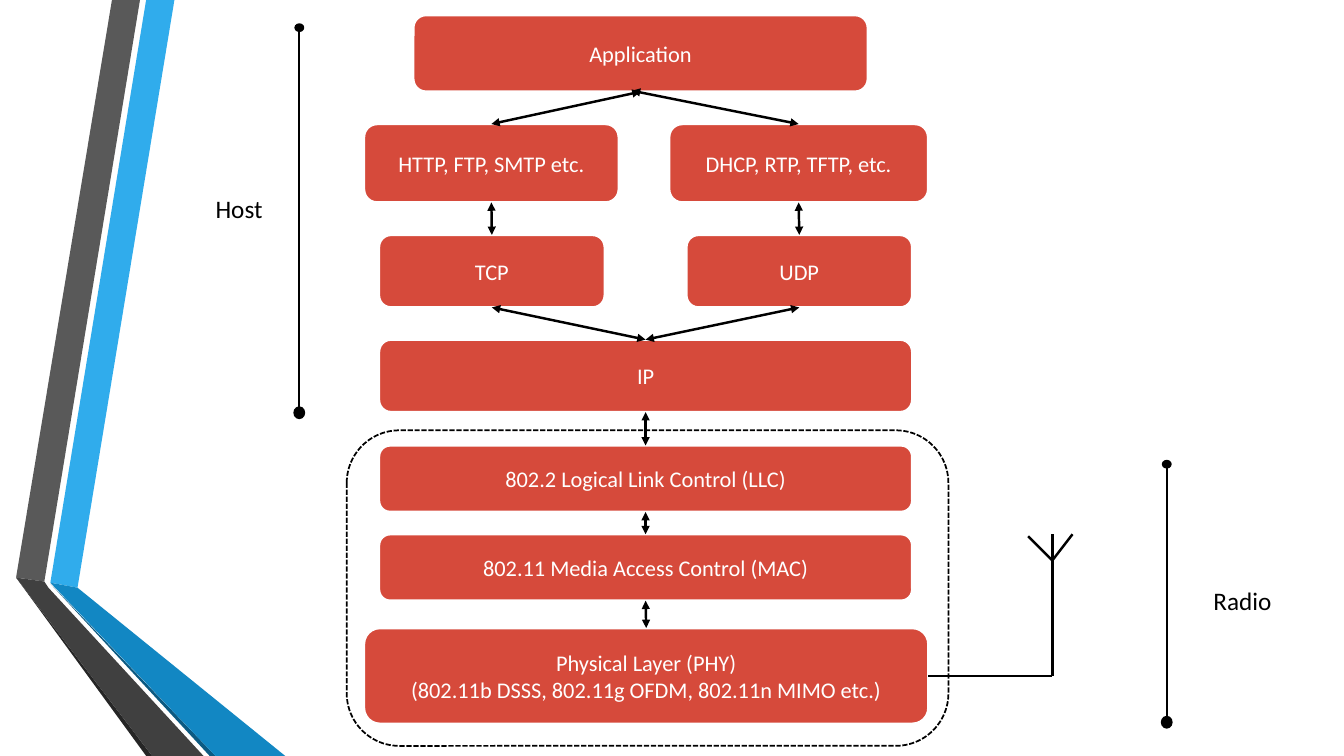
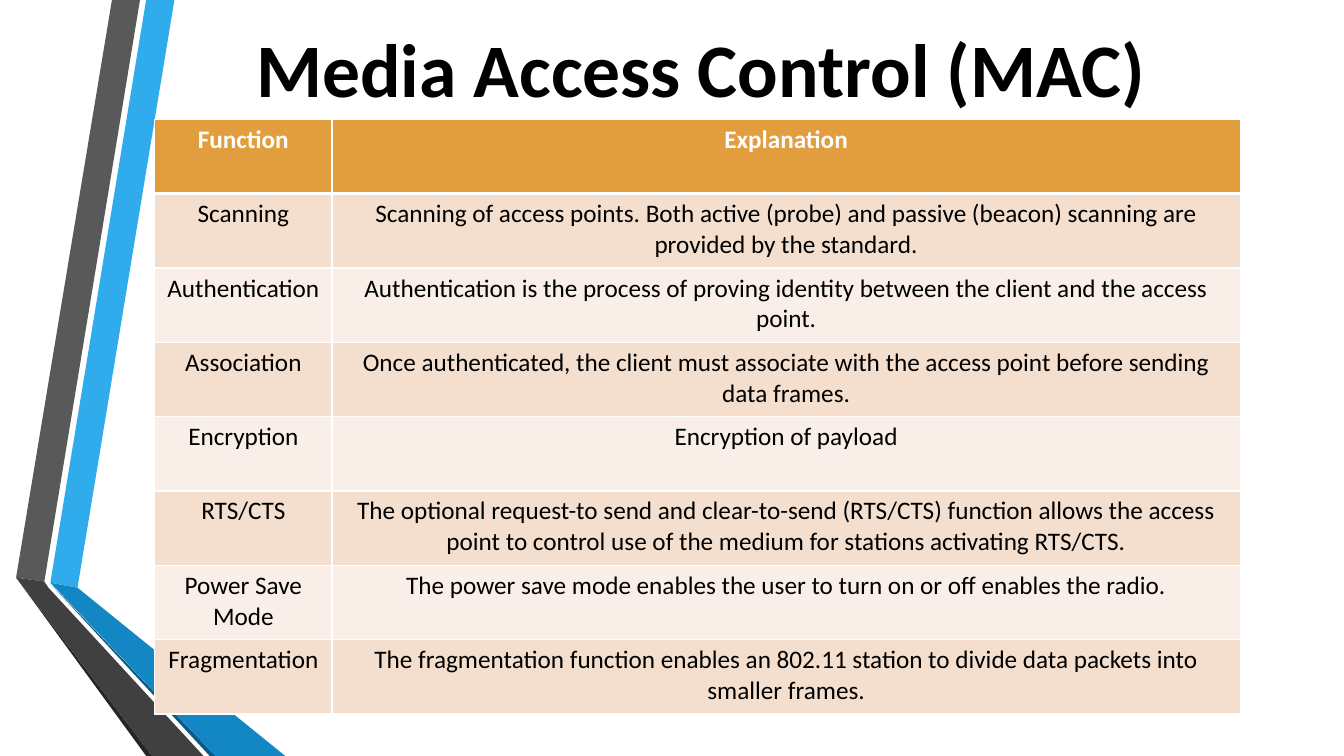
import lxml.etree
import pptx
import pptx.dml.color
import pptx.enum.dml
import pptx.enum.shapes
import pptx.enum.text
import pptx.oxml.ns
import pptx.util

Pt = pptx.util.Pt
qn = pptx.oxml.ns.qn
SHAPE = pptx.enum.shapes.MSO_SHAPE
CENTER = pptx.enum.text.PP_ALIGN.CENTER
TOP, LEFT, BOTTOM, RIGHT = range(4)  # connection sites

# Corner points of the folded ribbons on the left edge
RIBBONS = [
    ("30ACEC", [(36, 416.2), (55.4, 419.8), (124.6, 0), (104.4, 0)]),
    ("595959", [(100, 0), (80, 0), (11.5, 412.6), (31.7, 415.4)]),
    ("262626", [(11.5, 412.6), (104.4, 540), (108.7, 540)]),
    ("0C5A82", [(36, 416.9), (149.8, 540), (154, 540)]),
    ("1287C3", [(36, 416.2), (154, 540), (203.8, 540), (55.4, 419.8)]),
    ("404040", [(145.4, 540), (34.6, 419.8), (31.7, 415.4), (11.5, 412.6),
                (108.7, 540)]),
]

MAC_ROWS = [
    ("Function", "Explanation"),
    ("Scanning", "Scanning of access points. Both active (probe) and passive "
     "(beacon) scanning are provided by the standard."),
    ("Authentication", "Authentication is the process of proving identity "
     "between the client and the access point."),
    ("Association", "Once authenticated, the client must associate with the "
     "access point before sending data frames."),
    ("Encryption", "Encryption of payload"),
    ("RTS/CTS", "The optional request-to send and clear-to-send (RTS/CTS) "
     "function allows the access point to control use of the medium for "
     "stations activating RTS/CTS."),
    ("Power Save Mode", "The power save mode enables the user to turn on or "
     "off enables the radio."),
    ("Fragmentation", "The fragmentation function enables an 802.11 station "
     "to divide data packets into smaller frames."),
]


def rgb(value):
    return pptx.dml.color.RGBColor.from_string(value)


def add_xml(parent, tag, **attrs):
    return lxml.etree.SubElement(parent, qn(tag), **attrs)


def add_ln(parent, tag, color, width):
    ln = add_xml(parent, tag, w=str(Pt(width)))
    add_xml(add_xml(ln, "a:solidFill"), "a:srgbClr", val=color)
    return ln


class Deck:
    FONT = "Calibri"
    BLACK, WHITE = "000000", "FFFFFF"
    BOX, HEADER = "D64A3B", "E29D3E"
    BANDS = ("F4DFCE", "FAEFE8")

    def __init__(self):
        self.prs = pptx.Presentation()
        self.prs.slide_width, self.prs.slide_height = Pt(960), Pt(540)
        self.s = None

    def new_slide(self):
        self.s = self.prs.slides.add_slide(self.prs.slide_layouts[6])
        for color, points in RIBBONS:
            pts = [(Pt(x), Pt(y)) for x, y in points]
            builder = self.s.shapes.build_freeform(*pts[0], scale=1.0)
            builder.add_line_segments(pts[1:], close=True)
            self.paint(builder.convert_to_shape(), color)

    def paint(self, sp, fill=None, line=None, width=1.25):
        sp.shadow.inherit = False
        if fill:
            sp.fill.solid()
            sp.fill.fore_color.rgb = rgb(fill)
        else:
            sp.fill.background()
        if line:
            sp.line.color.rgb = rgb(line)
            sp.line.width = Pt(width)
        else:
            sp.line.fill.background()

    def set_text(self, tf, text, size, color, align=None, bold=False):
        tf.text = text
        for p in tf.paragraphs:
            p.alignment = align
            for r in p.runs:
                r.font.name, r.font.size = self.FONT, Pt(size)
                r.font.bold, r.font.color.rgb = bold, rgb(color)

    def shape(self, kind, x, y, w, h, **style):
        sp = self.s.shapes.add_shape(kind, Pt(x), Pt(y), Pt(w), Pt(h))
        self.paint(sp, **style)
        return sp

    def box(self, text, x, y, w, h):
        sp = self.shape(SHAPE.ROUNDED_RECTANGLE, x, y, w, h, fill=self.BOX,
                        line=self.WHITE, width=1.75)
        sp.text_frame.vertical_anchor = pptx.enum.text.MSO_ANCHOR.MIDDLE
        self.set_text(sp.text_frame, text, 16, self.WHITE, CENTER)
        return sp

    def line(self, start, end, width=1.75, arrows=False):
        """Each end is an (x, y) point or a (shape, site) pair."""
        ends = [e if isinstance(e[0], (int, float)) else (0, 0)
                for e in (start, end)]
        cx = self.s.shapes.add_connector(
            pptx.enum.shapes.MSO_CONNECTOR.STRAIGHT,
            *[Pt(v) for point in ends for v in point])
        if ends[0] != start:
            cx.begin_connect(*start)
        if ends[1] != end:
            cx.end_connect(*end)
        cx.line.color.rgb = rgb(self.BLACK)
        cx.line.width = Pt(width)
        props = cx._element.spPr
        if arrows:
            for tag in ("a:headEnd", "a:tailEnd"):
                add_xml(props.find(qn("a:ln")), tag, type="triangle")
        add_xml(props, "a:effectLst")

    def span(self, x, top, bottom):
        """Vertical line with a small dot above and a larger one below."""
        self.line((x, top), (x, bottom), width=1.25)
        for y, w, h in ((top, 5.8, 5), (bottom, 7.2, 7.9)):
            self.shape(SHAPE.OVAL, x - w / 2, y - h / 2, w, h,
                       fill=self.BLACK, line=self.BLACK)

    def label(self, text, x, y, w, h, size=18, wrap=True, **style):
        tf = self.s.shapes.add_textbox(Pt(x), Pt(y), Pt(w), Pt(h)).text_frame
        tf.word_wrap = wrap
        tf.auto_size = pptx.enum.text.MSO_AUTO_SIZE.SHAPE_TO_FIT_TEXT
        self.set_text(tf, text, size, self.BLACK, **style)
        return tf

    def title(self, text):
        tf = self.label(text, 167, 12.2, 667.4, 72.7, size=54, wrap=False,
                        align=CENTER, bold=True)
        props = tf.paragraphs[0].runs[0]._r.get_or_add_rPr()
        props.insert(0, add_ln(props, "a:ln", self.WHITE, 0.75))

    def table(self, rows, x, y, widths, row_height):
        table = self.s.shapes.add_table(
            len(rows), len(widths), Pt(x), Pt(y), Pt(sum(widths)),
            Pt(row_height * len(rows))).table
        for column, width in zip(table.columns, widths):
            column.width = Pt(width)
        for i, row in enumerate(rows):
            for j, text in enumerate(row):
                cell = table.cell(i, j)
                borders = {"L": 1, "R": 1, "T": 3 if i == 1 else 1,
                           "B": 3 if i == 0 else 1}
                for side, width in borders.items():
                    add_ln(cell._tc.get_or_add_tcPr(), "a:ln" + side,
                           self.WHITE, width)
                head = i == 0
                cell.fill.solid()
                cell.fill.fore_color.rgb = rgb(
                    self.HEADER if head else self.BANDS[(i - 1) % 2])
                self.set_text(cell.text_frame, text, 18,
                              self.WHITE if head else self.BLACK, CENTER, head)


def stack_slide(deck):
    deck.new_slide()

    # Dashed frame around the radio layers
    frame = deck.shape(SHAPE.ROUNDED_RECTANGLE, 247.7, 307.4, 429.8, 225.4,
                       line=deck.BLACK)
    frame.line.dash_style = pptx.enum.dml.MSO_LINE.SQUARE_DOT

    # Protocol layers
    app = deck.box("Application", 295.2, 10.8, 324.7, 54.7)
    http = deck.box("HTTP, FTP, SMTP etc.", 260, 88.6, 182, 56)
    dhcp = deck.box("DHCP, RTP, TFTP, etc.", 478, 88.6, 185, 56)
    tcp = deck.box("TCP", 270.7, 167.8, 161.3, 51.8)
    udp = deck.box("UDP", 490.3, 167.8, 161.3, 51.8)
    ip = deck.box("IP", 270.7, 242.6, 380.9, 51.8)
    llc = deck.box("802.2 Logical Link Control (LLC)", 270.7, 318.2, 380.9, 47.5)
    mac = deck.box("802.11 Media Access Control (MAC)",
                   270.7, 381.6, 380.9, 47.5)
    phy = deck.box("Physical Layer (PHY)\n"
                   "(802.11b DSSS, 802.11g OFDM, 802.11n MIMO etc.)",
                   260, 448.6, 403.2, 68.4)

    # Arrows between layers
    deck.line((app, BOTTOM), (http, TOP), arrows=True)
    deck.line((451.4, 64.8), (dhcp, TOP), arrows=True)
    for upper, lower in ((http, tcp), (dhcp, udp), (tcp, ip), (udp, ip),
                         (ip, llc), (llc, mac), (mac, phy)):
        deck.line((upper, BOTTOM), (lower, TOP), arrows=True)

    # Antenna
    mast = 751.7
    deck.line((phy, RIGHT), (mast, 482.8))
    for tip, foot in (((mast, 381.6), 482.8), ((734.4, 383), 400.3),
                      ((766.1, 381.6), 400.3)):
        deck.line(tip, (mast, foot))

    # Host and radio extents
    deck.span(213.8, 19.8, 294.8)
    deck.span(833.4, 331.6, 515.9)
    deck.label("Host", 146.9, 134.6, 56.2, 28.8)
    deck.label("Radio", 859.7, 414.7, 74.2, 28.8)


def mac_slide(deck):
    deck.new_slide()
    deck.title("Media Access Control (MAC)")
    deck.table(MAC_ROWS, 110.5, 85.2, (126.7, 648.7), 53.1)


def main():
    deck = Deck()
    stack_slide(deck)
    mac_slide(deck)
    deck.prs.save("out.pptx")


if __name__ == "__main__":
    main()
